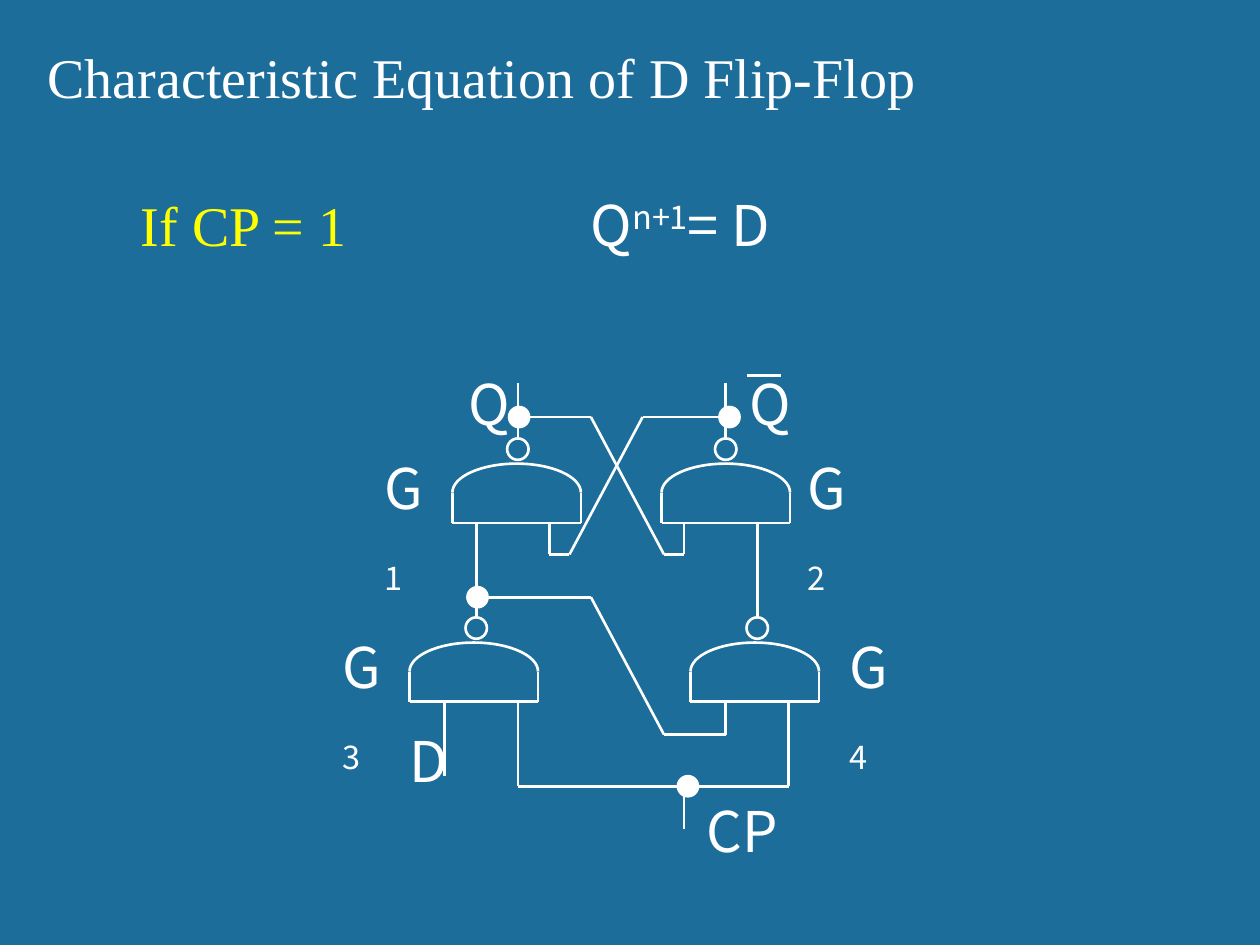
from lxml import etree
from pptx import Presentation
from pptx.dml.color import RGBColor
from pptx.enum.shapes import MSO_CONNECTOR, MSO_SHAPE
from pptx.oxml.ns import qn
from pptx.util import Inches, Pt

LINE, OVAL = MSO_CONNECTOR.STRAIGHT, MSO_SHAPE.OVAL
COLORS = {"back": "1C6D9A", "ink": "FFFFFF", "note": "FFFF00"}
SERIF, SANS = "Times New Roman", "Noto Sans CJK SC"

# Text: runs of (text, baseline percent), box, format
TITLES = [
    ([("Characteristic Equation of D Flip-Flop", 0)], (0.28, 0.29, 9.49, 0.64),
     {"face": SERIF}),
    ([("If CP = 1", 0)], (1.02, 1.46, 5.98, 0.64),
     {"face": SERIF, "color": "note"}),
    ([("Q", 0), ("n+1", 30), ("= D", 0)], (4.59, 1.46, 5.36, 0.64), {}),
]
PINS = [("Q", 3.62, 2.88, 0.42), ("Q", 5.85, 2.88, 0.42),
        ("D", 3.15, 5.72, 0.42), ("CP", 5.51, 6.27, 0.91)]

# Circuit grid: columns a..l from left to right, rows from top to bottom
COLS = dict(zip("abcdefghijkl", (3.53, 3.78, 4.11, 4.36, 4.52, 4.69,
                                 5.1, 5.27, 5.43, 5.76, 6.01, 6.26)))
ROWS = (3.04, 3.31, 3.48, 4.15, 4.32, 4.4, 4.74, 4.9,
        5.57, 5.83, 6.16, 6.24, 6.58)

# Wires: column and row of each corner
WIRES = [
    "c2 c0", "j2 j0",                        # outputs
    "c1 f1 h5 i5 i3", "j1 g1 e5 d5 d3",      # crossed feedback
    "b3 b5", "b7 b4", "k3 k5", "k7 k4",      # lower gates to upper gates
    "b6 f6 h9 j9 j8",                        # G3 to G4
    "a10 a8", "c8 c11 l11 l8", "i11 i12",    # inputs
]
BUBBLES = ["c2", "j2", "b7", "k7"]
DOTS = [("b6", 0.01), ("c1", 0.01), ("j1", 0.03), ("i11", 0.03)]

# Gates: number, centre, base row, label left
GATES = [("1", 4.1, 3, 2.95), ("2", 5.76, 3, 6.31),
         ("3", 3.76, 8, 2.62), ("4", 5.99, 8, 6.64)]
HALF, SIDE, ARCH = 0.51, 0.24, 0.23
RING, GAP = 0.17, 0.6
BEND = 0.55  # control-point share for a quarter ellipse

deck = Presentation()
deck.slide_width, deck.slide_height = Inches(10), Inches(7.5)
slide = deck.slides.add_slide(deck.slide_layouts[6])


def tint(name):
    return RGBColor.from_string(COLORS[name])


slide.background.fill.solid()
slide.background.fill.fore_color.rgb = tint("back")


def spot(code):
    return COLS[code[0]], ROWS[int(code[1:])]


def text(runs, box, size=32, face=SANS, color="ink"):
    frame = slide.shapes.add_textbox(*map(Inches, box)).text_frame
    frame.word_wrap = True
    for words, base in runs:
        run = frame.paragraphs[0].add_run()
        run.text = words
        run.font.size, run.font.name = Pt(size), face
        run.font.color.rgb = tint(color)
        if base:
            run._r.get_or_add_rPr().set("baseline", str(base * 1000))


def stroke(shape, width=1.5):
    shape.line.color.rgb = tint("ink")
    shape.line.width = Pt(width)


def wire(points, home=slide.shapes):
    for start, end in zip(points, points[1:]):
        link = home.add_connector(LINE, *map(Inches, start + end))
        stroke(link)
        etree.SubElement(link._element.spPr, qn("a:effectLst"))


def ring(x, y, full=False):
    """Circle centred on x, with its top at y."""
    shape = slide.shapes.add_shape(
        OVAL, *map(Inches, (x - RING / 2, y, RING, RING)))
    shape.shadow.inherit = False
    if full:
        shape.fill.solid()
        shape.fill.fore_color.rgb = tint("ink")
    else:
        shape.fill.background()
    stroke(shape, 0.75 if full else 1.5)


def curve(shape):
    """Turn the three-point outline into two quarter ellipses."""
    track = next(shape._element.iter(qn("a:path")))
    wide, high = int(track.get("w")), int(track.get("h"))
    for step in track.findall(qn("a:lnTo")):
        track.remove(step)
    near, far = (1 - BEND) / 2, (1 + BEND) / 2
    for points in ([(0, 1 - BEND), (near, 0), (0.5, 0)],
                   [(far, 0), (1, 1 - BEND), (1, 1)]):
        bend = etree.SubElement(track, qn("a:cubicBezTo"))
        for x, y in points:
            etree.SubElement(bend, qn("a:pt"), x=str(round(x * wide)),
                             y=str(round(y * high)))


def gate(mid, base):
    home = slide.shapes.add_group_shape().shapes
    left, right, top = mid - HALF, mid + HALF, base - SIDE
    form = home.build_freeform(Inches(left), Inches(top))
    form.add_line_segments([(Inches(mid), Inches(top - ARCH)),
                            (Inches(right), Inches(top))], close=False)
    dome = form.convert_to_shape()
    curve(dome)
    dome.shadow.inherit = False
    dome.fill.background()
    stroke(dome)
    for points in ([(left, top), (left, base)], [(right, top), (right, base)],
                   [(left, base), (right, base)]):
        wire(points, home)


# Headings and pin names
for runs, box, style in TITLES:
    text(runs, box, **style)
for name, x, y, wide in PINS:
    text([(name, 0)], (x, y, wide, 0.63))

# Wires, with the bar over the second Q
for route in WIRES:
    wire([spot(code) for code in route.split()])
wire([(5.93, 2.98), (6.2, 2.98)])

# Gates and their labels
for number, mid, row, left in GATES:
    gate(mid, ROWS[row])
    text([("G", 0), (number, -25)], (left, ROWS[row] - GAP, 0.57, 0.63))

# Inverter bubbles and junctions
for code in BUBBLES:
    ring(*spot(code))
for code, shift in DOTS:
    x, y = spot(code)
    ring(x + shift, y - RING / 2, full=True)

deck.save("out.pptx")
